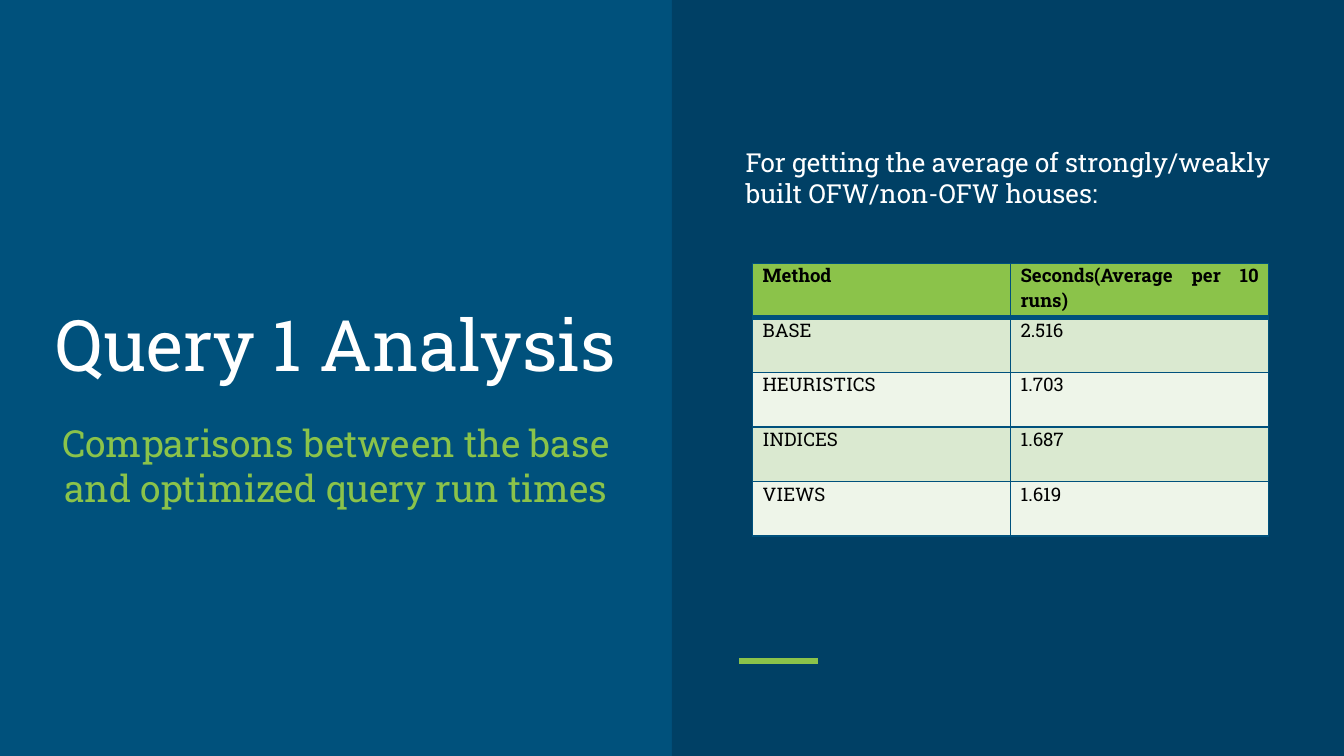
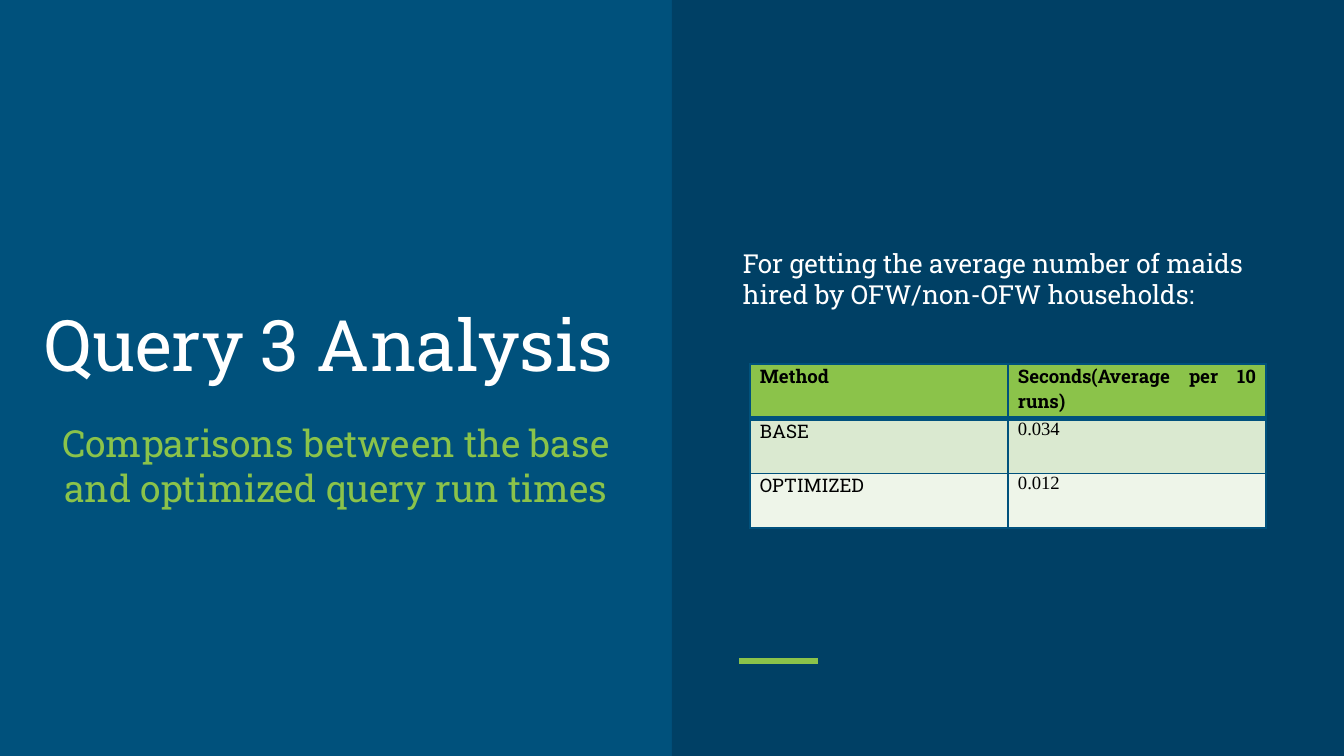
from dataclasses import dataclass

from lxml.etree import SubElement
from pptx import Presentation
from pptx.dml.color import RGBColor
from pptx.enum.shapes import MSO_CONNECTOR, MSO_SHAPE
from pptx.enum.text import MSO_ANCHOR, PP_ALIGN
from pptx.oxml.ns import qn
from pptx.util import Inches, Pt


@dataclass(frozen=True)
class Theme:
    background: str = "00517C"
    panel: str = "004065"
    accent: str = "8BC34A"
    light: str = "FFFFFF"
    dark: str = "000000"
    bands: tuple = ("DAE9D0", "EEF5E9")
    font: str = "Roboto Slab"
    number_font: str = "Times New Roman"
    title_size: int = 38
    subtitle_size: int = 20
    caption_size: int = 14
    table_size: int = 10
    thin: int = 1
    thick: int = 3


THEME = Theme()
SUBTITLE = "Comparisons between the base and optimized query run times"
HEADER = ("Method", "Seconds(Average per 10 runs)")
ANALYSES = [
    {
        "title": "Query 1 Analysis",
        "title_box": (0.29, 1.32, 4.42, 1.65),
        "caption": "For getting the average of strongly/weakly built OFW/non-OFW houses:",
        "caption_at": (5.45, 1.04),
        "table_at": (5.6, 1.96),
        "number_font": THEME.font,
        "rows": [
            ("BASE", "2.516"),
            ("HEURISTICS", "1.703"),
            ("INDICES", "1.687"),
            ("VIEWS", "1.619"),
        ],
    },
    {
        "title": "Query 3 Analysis",
        "title_box": (0.18, 1.32, 4.54, 1.65),
        "caption": "For getting the average number of maids hired by OFW/non-OFW households:",
        "caption_at": (5.43, 1.79),
        "table_at": (5.58, 2.71),
        "number_font": THEME.number_font,
        "rows": [("BASE", "0.034"), ("OPTIMIZED", "0.012")],
    },
]
SLIDE_WIDTH = 10
SLIDE_HEIGHT = SLIDE_WIDTH * 9 / 16
SUBTITLE_BOX = (0.29, 3.03, 4.42, 1.47)
CAPTION_SIZE = (4.23, 0.57)
TABLE_HEIGHT_FOR_FIVE = 2.03
COLUMN_WIDTH, ROW_HEIGHT = 1.92, TABLE_HEIGHT_FOR_FIVE / 5


def color(value):
    return RGBColor.from_string(value)


def inches(values):
    return [Inches(value) for value in values]


def style(paragraph, size, ink, font=THEME.font, bold=False, align=PP_ALIGN.LEFT):
    paragraph.alignment = align
    paragraph.font.size = Pt(size)
    paragraph.font.name = font
    paragraph.font.bold = bold
    paragraph.font.color.rgb = color(ink)


def add_text(slide, text, box, size, ink, align=PP_ALIGN.LEFT,
             anchor=MSO_ANCHOR.TOP, inset=0.1):
    frame = slide.shapes.add_textbox(*inches(box)).text_frame
    frame.word_wrap = True
    frame.vertical_anchor = anchor
    frame.margin_top = frame.margin_bottom = Inches(inset)
    paragraph = frame.paragraphs[0]
    paragraph.text = text
    style(paragraph, size, ink, align=align)


def add_backdrop(slide):
    slide.background.fill.solid()
    slide.background.fill.fore_color.rgb = color(THEME.background)
    half = SLIDE_WIDTH / 2
    panel = slide.shapes.add_shape(
        MSO_SHAPE.RECTANGLE, *inches((half, 0, half, SLIDE_HEIGHT)))
    panel.shadow.inherit = False
    panel.fill.solid()
    panel.fill.fore_color.rgb = color(THEME.panel)
    panel.line.fill.background()
    accent = slide.shapes.add_connector(
        MSO_CONNECTOR.STRAIGHT, *inches((5.5, 4.92, 6.09, 4.92)))
    accent.line.color.rgb = color(THEME.accent)
    accent.line.width = Pt(THEME.thick)
    SubElement(accent._element.spPr, qn("a:effectLst"))


def set_borders(cell, **widths):
    properties = cell._tc.get_or_add_tcPr()
    for position, side in enumerate(("L", "R", "T", "B")):
        width = Pt(widths.get(side, THEME.thin))
        line = properties.makeelement(qn(f"a:ln{side}"), {"w": str(width)})
        fill = SubElement(line, qn("a:solidFill"))
        SubElement(fill, qn("a:srgbClr"), val=THEME.background)
        properties.insert(position, line)


def add_results(slide, position, body, number_font):
    rows = [HEADER, *body]
    size = (COLUMN_WIDTH * len(HEADER), ROW_HEIGHT * len(rows))
    table = slide.shapes.add_table(
        len(rows), len(HEADER), *inches((*position, *size))).table
    for row_index, values in enumerate(rows):
        is_header = row_index == 0
        fill = THEME.accent if is_header else THEME.bands[(row_index - 1) % 2]
        for column_index, value in enumerate(values):
            cell = table.cell(row_index, column_index)
            cell.fill.solid()
            cell.fill.fore_color.rgb = color(fill)
            cell.margin_left = cell.margin_right = Pt(5.4)
            cell.margin_top = cell.margin_bottom = 0
            cell.text = value
            is_number = column_index == 1 and not is_header
            style(cell.text_frame.paragraphs[0], THEME.table_size, THEME.dark,
                  font=number_font if is_number else THEME.font, bold=is_header,
                  align=PP_ALIGN.JUSTIFY if is_header else PP_ALIGN.LEFT)
            if is_header:
                set_borders(cell, B=THEME.thick)
            elif row_index == 1:
                set_borders(cell, T=THEME.thick)
            else:
                set_borders(cell)


def add_analysis(presentation, analysis):
    slide = presentation.slides.add_slide(presentation.slide_layouts[6])
    add_backdrop(slide)
    add_text(slide, analysis["title"], analysis["title_box"], THEME.title_size,
             THEME.light, align=PP_ALIGN.CENTER, anchor=MSO_ANCHOR.BOTTOM)
    add_text(slide, SUBTITLE, SUBTITLE_BOX, THEME.subtitle_size, THEME.accent,
             align=PP_ALIGN.CENTER)
    add_results(slide, analysis["table_at"], analysis["rows"], analysis["number_font"])
    add_text(slide, analysis["caption"], (*analysis["caption_at"], *CAPTION_SIZE),
             THEME.caption_size, THEME.light, inset=0.05)


def main():
    presentation = Presentation()
    presentation.slide_width = Inches(SLIDE_WIDTH)
    presentation.slide_height = Inches(SLIDE_HEIGHT)
    for analysis in ANALYSES:
        add_analysis(presentation, analysis)
    presentation.save("out.pptx")


if __name__ == "__main__":
    main()
